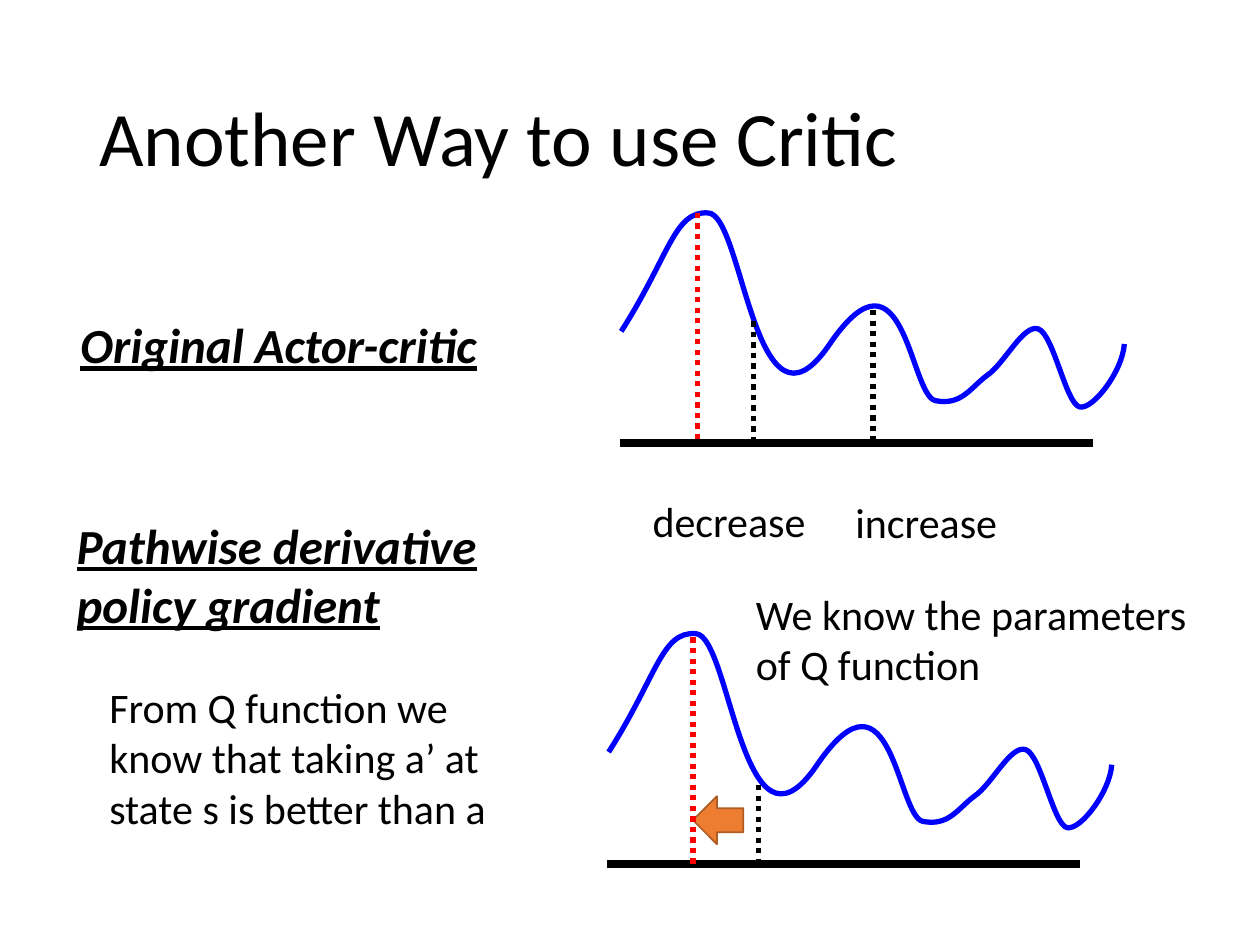
from dataclasses import dataclass

from lxml.etree import SubElement
from pptx import Presentation
from pptx.dml.color import RGBColor
from pptx.enum.dml import MSO_LINE
from pptx.enum.shapes import MSO_CONNECTOR, MSO_SHAPE
from pptx.enum.text import MSO_ANCHOR, MSO_AUTO_SIZE, PP_ALIGN
from pptx.oxml.ns import qn
from pptx.util import Pt


@dataclass(frozen=True)
class Theme:
    font: str = "Calibri"
    ink: str = "000000"
    curve: str = "0000FF"
    best: str = "FF0000"
    arrow: str = "ED7D31"
    edge: str = "AF5C24"
    title: int = 44
    head: int = 28
    body: int = 24


THEME = Theme()

# Q curve as Bezier triples (two handles and a knot), in points from its start
WAVE = [
    ((28, -44), (30.2, -69), (49.7, -67.7)),
    ((69.8, -67), (76.3, 70.6), (119.2, 7.2)),
    ((162, -55.4), (164.9, 36.7), (179.6, 39.6)),
    ((194.4, 42.5), (199.4, 32.4), (209, 25.2)),
    ((218.9, 18.7), (229.7, -4.3), (238.3, -1.4)),
    ((247, 1.4), (254.2, 41.8), (262.1, 43.2)),
    ((270, 44.6), (286.6, 22.3), (287.5, 7.2)),
]


def place(shape, left, top, width, height):
    shape.left, shape.top = Pt(left), Pt(top)
    shape.width, shape.height = Pt(width), Pt(height)


def write(shape, text, size=THEME.body, strong=False, space=None,
          fit=MSO_AUTO_SIZE.SHAPE_TO_FIT_TEXT, anchor=MSO_ANCHOR.TOP):
    """Put one left-aligned paragraph in a shape; strong is a heading look."""
    frame = shape.text_frame
    frame.word_wrap = True
    frame.auto_size = fit
    frame.vertical_anchor = anchor
    para = frame.paragraphs[0]
    para.alignment = PP_ALIGN.LEFT
    if space:
        para.line_spacing = space
    run = para.add_run()
    run.text = text
    font = run.font
    font.name, font.size = THEME.font, Pt(size)
    font.color.rgb = RGBColor.from_string(THEME.ink)
    if strong:
        font.bold = font.italic = font.underline = True


def label(slide, text, area, **style):
    box = slide.shapes.add_textbox(*map(Pt, area))
    write(box, text, **style)


def stroke(shape, color, width):
    shape.line.color.rgb = RGBColor.from_string(color)
    shape.line.width = Pt(width)


def rule(slide, start, end, color=THEME.ink, width=3, dots=False):
    line = slide.shapes.add_connector(
        MSO_CONNECTOR.STRAIGHT, *map(Pt, (*start, *end)))
    stroke(line, color, width)
    if dots:
        line.line.dash_style = MSO_LINE.ROUND_DOT
    SubElement(line._element.spPr, qn("a:effectLst"))


def drop(slide, x, top, foot, color=THEME.ink):
    rule(slide, (x, top), (x, foot), color=color, dots=True)


def wave(slide, left, top):
    """Outline the knots, then bend each straight segment into a Bezier."""
    knots = [(Pt(left + x), Pt(top + y)) for *_, (x, y) in WAVE]
    pen = slide.shapes.build_freeform(Pt(left), Pt(top))
    pen.add_line_segments(knots, close=False)
    shape = pen.convert_to_shape()
    shape.shadow.inherit = False
    shape.fill.background()
    stroke(shape, THEME.curve, 3)
    parts = list(shape._element.spPr.iter(qn("a:lnTo")))
    for part, (one, two, _) in zip(parts, WAVE):
        part.tag = qn("a:cubicBezTo")
        for spot, (x, y) in enumerate((one, two)):
            point = SubElement(part, qn("a:pt"))
            point.set("x", str(Pt(left + x) - shape.left))
            point.set("y", str(Pt(top + y) - shape.top))
            part.insert(spot, point)


def graph(slide, left, top, base):
    """Q curve over a heavy action axis."""
    rule(slide, (left - 0.8, base), (left + 269.4, base), width=4.5)
    wave(slide, left, top)


def arrow(slide, area):
    shape = slide.shapes.add_shape(MSO_SHAPE.LEFT_ARROW, *map(Pt, area))
    shape.shadow.inherit = False
    shape.fill.solid()
    shape.fill.fore_color.rgb = RGBColor.from_string(THEME.arrow)
    stroke(shape, THEME.edge, 1)


def main():
    deck = Presentation()
    deck.slide_width, deck.slide_height = Pt(720), Pt(540)
    slide = deck.slides.add_slide(deck.slide_layouts[5])

    # Title
    title = slide.shapes.title
    place(title, 49.5, 28.8, 621, 104.4)
    write(title, "Another Way to use Critic", size=THEME.title, space=0.9,
          fit=MSO_AUTO_SIZE.NONE, anchor=MSO_ANCHOR.MIDDLE)

    # Actor-critic: two sampled actions and the best one
    graph(slide, 355, 189.4, 253.2)
    drop(slide, 430.8, 183.6, 254.6)
    drop(slide, 498.8, 177.2, 254.6)
    drop(slide, 398.7, 121.7, 251.5, color=THEME.best)
    label(slide, "Original Actor-critic", (38.9, 176.4, 250.6, 41),
          size=THEME.head, strong=True)
    label(slide, "decrease", (365.8, 279.5, 113, 36))
    label(slide, "increase", (481.7, 280, 113, 36))

    # Pathwise derivative: step from the action to the best one
    graph(slide, 347.8, 429.8, 493.9)
    drop(slide, 433.5, 448.6, 493.9)
    arrow(slide, (396, 455, 28.8, 27.4))
    drop(slide, 396, 364.3, 493.9, color=THEME.best)
    label(slide, "Pathwise derivative policy gradient",
          (36.7, 290.9, 245.5, 74.9), size=THEME.head, strong=True)
    label(slide, "We know the parameters of Q function",
          (424.8, 332.6, 282.2, 65.5))
    label(slide, "From Q function we know that taking a’ at state s "
          "is better than a", (55.4, 385.9, 230.4, 94.3))

    deck.save("out.pptx")


if __name__ == "__main__":
    main()
